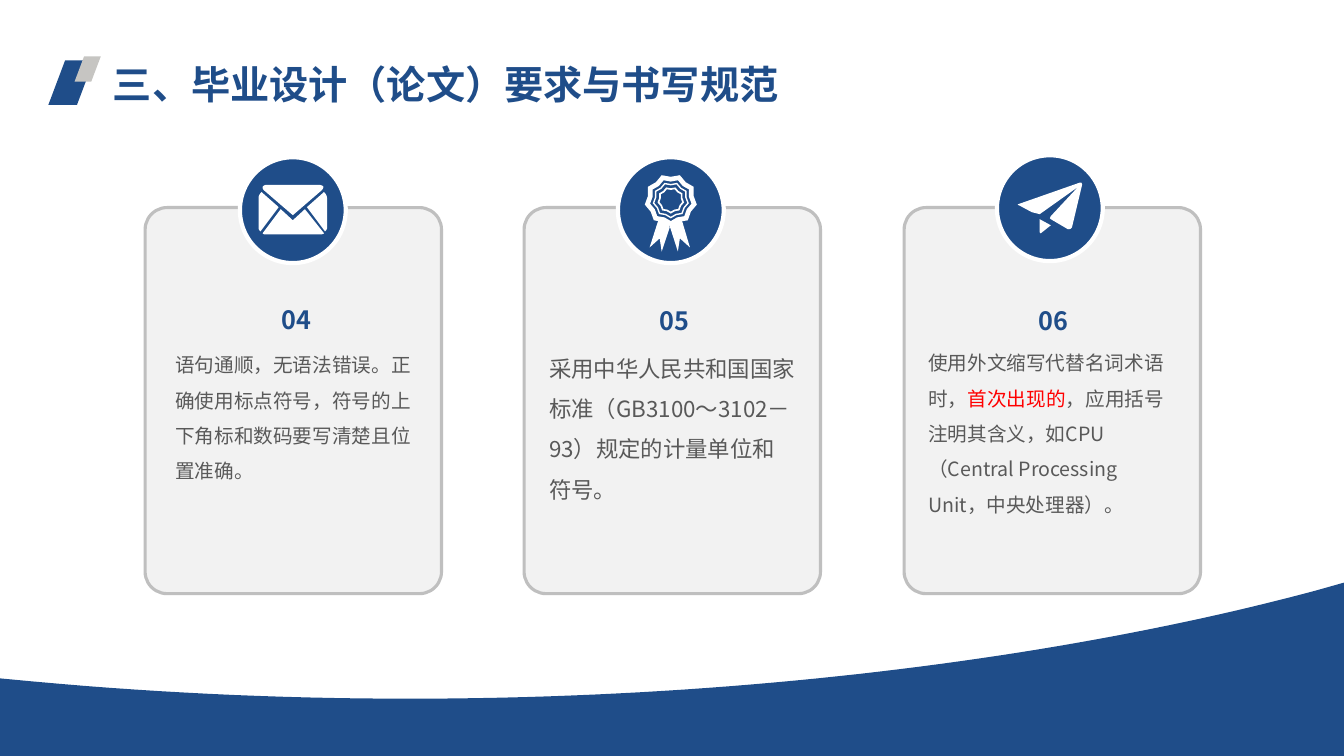
import math

import lxml.etree
import pptx
import pptx.dml.color
import pptx.enum.shapes
import pptx.enum.text
import pptx.oxml.ns
import pptx.util

NAVY = pptx.dml.color.RGBColor(0x1F, 0x4D, 0x89)
WHITE = pptx.dml.color.RGBColor(0xFF, 0xFF, 0xFF)
PALE = pptx.dml.color.RGBColor(0xF2, 0xF2, 0xF2)
SILVER = pptx.dml.color.RGBColor(0xBF, 0xBF, 0xBF)
STONE = pptx.dml.color.RGBColor(0xC6, 0xC5, 0xC2)
GREY = pptx.dml.color.RGBColor(0x59, 0x59, 0x59)
RED = pptx.dml.color.RGBColor(0xFF, 0x00, 0x00)

FONT = "Noto Sans CJK SC"
ROWS = 75  # square grid cells down the slide
COLUMNS = ROWS * 16 / 9
SHAPES = pptx.enum.shapes.MSO_SHAPE
LEFT = pptx.enum.text.PP_ALIGN.LEFT
CENTER = pptx.enum.text.PP_ALIGN.CENTER


def flatten(steps):
    """Turn (x, y) corners and six-number Bezier curves into plain points."""
    points = []
    for step in steps:
        if len(step) == 2:
            points.append(step)
            continue
        start = points[-1]
        controls = [start, step[0:2], step[2:4], step[4:6]]
        pieces = 60 if abs(step[4] - start[0]) > 20 else 8
        for i in range(1, pieces + 1):
            t = i / pieces
            weights = ((1 - t) ** 3, 3 * t * (1 - t) ** 2, 3 * t * t * (1 - t), t ** 3)
            points.append(tuple(sum(w * c[axis] for w, c in zip(weights, controls))
                                for axis in (0, 1)))
    return points


def mirror(steps):
    return [tuple(-v if i % 2 == 0 else v for i, v in enumerate(step)) for step in steps]


def rosette(radius):
    """Nine-lobed outline centred just above the middle of a badge."""
    corners = []
    for i in range(18):
        reach = radius * (1.07 if i % 2 else 0.94)
        angle = math.radians(20 * i)
        corners.append((reach * math.sin(angle), -1 - reach * math.cos(angle)))
    return corners


class SlideBuilder:
    """Lengths are grid columns and rows; both are one square cell."""

    def __init__(self, deck):
        self.cell = deck.slide_height / ROWS
        self.slide = deck.slides.add_slide(deck.slide_layouts[5])

    def emu(self, *lengths):
        return [pptx.util.Emu(round(length * self.cell)) for length in lengths]

    def paint(self, shape, fill, line=None, width=0):
        shape.shadow.inherit = False
        shape.fill.solid()
        shape.fill.fore_color.rgb = fill
        if line is None:
            shape.line.fill.background()
        else:
            shape.line.color.rgb = line
            shape.line.width = pptx.util.Pt(width)

    def preset(self, kind, box, fill, line=None, width=0, adjust=None):
        shape = self.slide.shapes.add_shape(kind, *self.emu(*box))
        self.paint(shape, fill, line, width)
        if adjust is not None:
            shape.adjustments[0] = adjust

    def outline(self, contours, fill, center=(0, 0)):
        """Draw closed contours as one shape; a second contour cuts a hole."""
        builder = None
        for contour in contours:
            points = [self.emu(x + center[0], y + center[1]) for x, y in flatten(contour)]
            if builder is None:
                builder = self.slide.shapes.build_freeform(*points[0], scale=1.0)
            else:
                builder.move_to(*points[0])
            builder.add_line_segments(points[1:], close=True)
        self.paint(builder.convert_to_shape(), fill)

    def add_runs(self, frame, runs, size, spacing, align=LEFT, bold=False):
        frame.word_wrap = True
        paragraph = frame.paragraphs[0]
        paragraph.alignment = align
        paragraph.line_spacing = spacing
        for words, color in runs:
            run = paragraph.add_run()
            run.text = words
            run.font.size = pptx.util.Pt(size)
            run.font.bold = bold
            run.font.name = FONT
            run.font.color.rgb = color
            east_asian = lxml.etree.SubElement(run.font._element, pptx.oxml.ns.qn("a:ea"))
            east_asian.set("typeface", FONT)

    def title(self, words, box):
        heading = self.slide.shapes.title
        heading.left, heading.top, heading.width, heading.height = self.emu(*box)
        frame = heading.text_frame
        frame.auto_size = pptx.enum.text.MSO_AUTO_SIZE.NONE
        frame.vertical_anchor = pptx.enum.text.MSO_ANCHOR.MIDDLE
        self.add_runs(frame, [(words, NAVY)], 28, 0.9, bold=True)

    def text(self, box, runs, size, spacing, align=LEFT, bold=False, inset=True):
        frame = self.slide.shapes.add_textbox(*self.emu(*box)).text_frame
        if not inset:
            frame.margin_left = frame.margin_right = 0
            frame.margin_top = frame.margin_bottom = 0
        frame.auto_size = pptx.enum.text.MSO_AUTO_SIZE.SHAPE_TO_FIT_TEXT
        self.add_runs(frame, runs, size, spacing, align, bold)

    def card(self, left, number, number_at, badge, icon, body, runs, size):
        self.preset(SHAPES.ROUNDED_RECTANGLE, (left, 20.6, 29.4, 38.3),
                    PALE, SILVER, 2.25, 0.074)
        x, y = badge
        self.preset(SHAPES.OVAL, (x - 5.25, y - 5.25, 10.5, 10.5), NAVY, WHITE, 3)
        for contours in icon:
            self.outline(contours, WHITE, badge)
        self.text((*number_at, 13.2, 3.3), [(number, NAVY)], 18, 1.2, CENTER, True, False)
        self.text(body, runs, size, 1.5)


WAVE = [(COLUMNS, 57.8), (130.5, 58.6), (100.4, 66.7, 54, 72.3, 3.2, 67.6),
        (0, 67.3), (0, ROWS), (COLUMNS, ROWS)]

# Icon outlines are measured from the centre of their badge.
ENVELOPE_SIDE = [(-3.1, -1.8), (-3.3, -1.6, -3.4, -1.4, -3.4, -1.2), (-3.4, 1.8),
                 (-3.4, 1.9, -3.3, 2, -3.2, 2.1), (-1.4, -0.3)]
ENVELOPE_BASE = [(0, 1), (-1.2, -0.1), (-3, 2.3), (-2.9, 2.4, -2.8, 2.4, -2.7, 2.4),
                 (2.7, 2.4), (2.8, 2.4, 3, 2.4, 3.1, 2.3), (1.2, -0.1)]
ENVELOPE_FLAP = [(2.9, -2), (3.1, -2.3, 3.1, -2.4, 2.7, -2.5), (-2.7, -2.5),
                 (-3, -2.4, -3.1, -2.3, -2.9, -2), (0, 0.5)]
ENVELOPE = [[ENVELOPE_SIDE], [mirror(ENVELOPE_SIDE)], [ENVELOPE_BASE], [ENVELOPE_FLAP]]

LEFT_RIBBON = [(-1.2, 0.9), (-2.1, 3.7), (-1.1, 2.8), (-0.9, 4.1), (-0.1, 1.7), (-0.2, 1.3)]
RIGHT_RIBBON = [(-0.2, 1.3), (1.1, 1), (1.9, 3.7), (0.9, 2.8), (0.7, 4.1)]
MEDAL = [[LEFT_RIBBON], [RIGHT_RIBBON]] + [
    [rosette(outer), rosette(inner)]
    for outer, inner in ((2.45, 1.95), (1.7, 1.55), (1.25, 1.07))]

PLANE_WINGS = [(2.9, -2.5), (-3.1, -0.4), (-3.2, -0.4, -3.2, -0.3, -3.1, -0.3),
               (-1.8, 0.4), (-1, 0.6), (2.8, -2.1), (0.1, 0.8), (0, 1), (0.1, 1.1),
               (1.8, 2.1), (1.9, 2.1, 2.1, 2.1, 2.2, 1.9), (3.2, -2.3),
               (3.2, -2.5, 3.1, -2.6, 2.9, -2.5)]
PLANE_TAIL = [(-1, 2.4), (-0.9, 2.5), (0.1, 1.7), (-1, 1.1)]
PLANE = [[PLANE_WINGS], [PLANE_TAIL]]

CARDS = [
    (14.4, "04", (22.8, 29.6), (29.05, 20.85), ENVELOPE, (16.4, 33.4, 25.7, 15.1),
     [("语句通顺，无语法错误。正确使用标点符号，符号的上下角标和数码要写清楚且位置准确。", GREY)], 14),
    (52, "05", (60.3, 29.7), (66.55, 20.85), MEDAL, (53.5, 33.4, 26.5, 16.7),
     [("采用中华人民共和国国家标准（GB3100～3102－93）规定的计量单位和符号。", GREY)], 16),
    (89.7, "06", (97.9, 29.7), (104.15, 20.65), PLANE, (91.1, 33.2, 26.6, 18.3),
     [("使用外文缩写代替名词术语时，", GREY), ("首次出现的", RED),
      ("，应用括号注明其含义，如CPU（Central Processing Unit，中央处理器）。", GREY)], 14),
]


def main():
    deck = pptx.Presentation()
    deck.slide_width = pptx.util.Emu(12192000)
    deck.slide_height = pptx.util.Inches(7.5)
    page = SlideBuilder(deck)
    page.outline([WAVE], NAVY)
    page.title("三、毕业设计（论文）要求与书写规范", (10.2, 5.6, 71.2, 6))
    page.preset(SHAPES.PARALLELOGRAM, (4.8, 6, 4.5, 4.4), NAVY, adjust=0.377)
    page.preset(SHAPES.PARALLELOGRAM, (7.4, 5.6, 2.6, 2.5), STONE, adjust=0.377)
    for card in CARDS:
        page.card(*card)
    deck.save("out.pptx")


if __name__ == "__main__":
    main()
